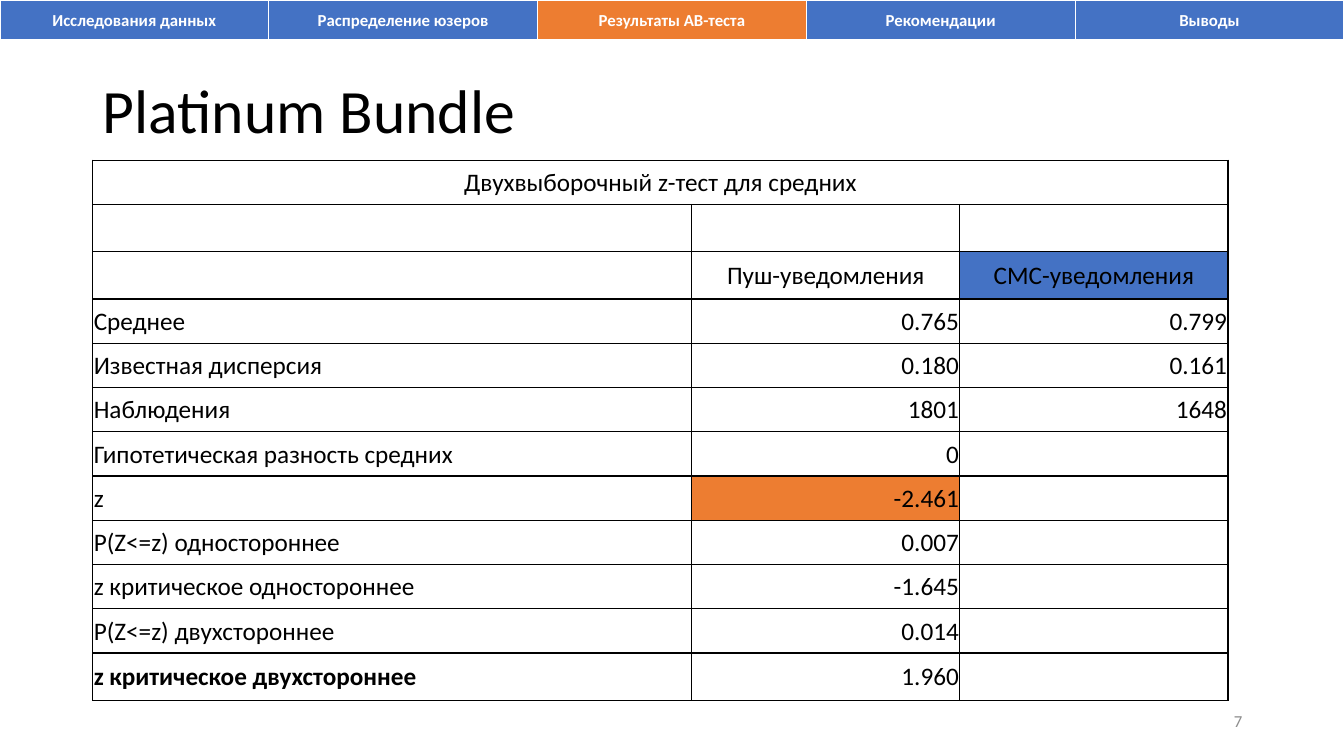
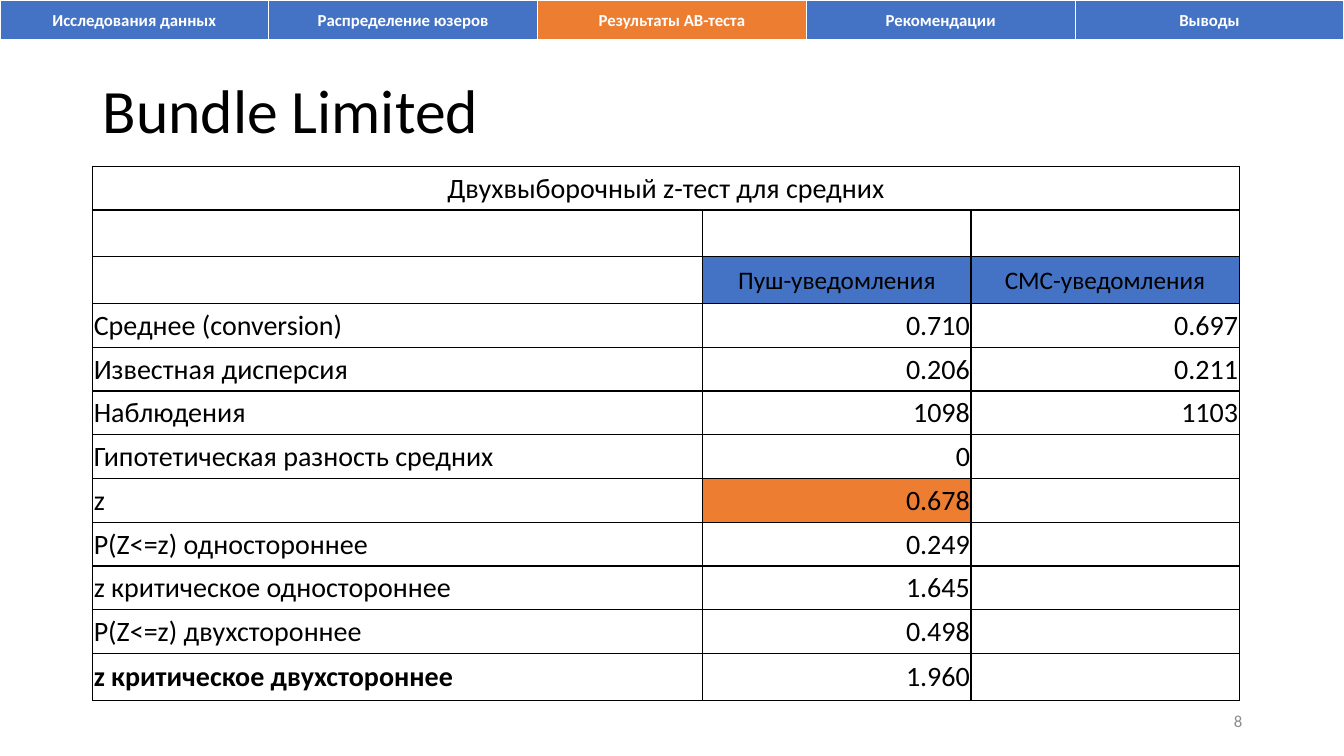
from lxml import etree
from pptx import Presentation
from pptx.dml.color import RGBColor
from pptx.enum.text import MSO_ANCHOR, PP_ALIGN
from pptx.oxml.ns import qn
from pptx.util import Inches, Pt

LEFT, CENTER, RIGHT = PP_ALIGN.LEFT, PP_ALIGN.CENTER, PP_ALIGN.RIGHT
MIDDLE = MSO_ANCHOR.MIDDLE
BLACK = RGBColor(0x00, 0x00, 0x00)
WHITE = RGBColor(0xFF, 0xFF, 0xFF)
GRAY = RGBColor(0x8C, 0x8C, 0x8C)
BLUE = RGBColor(0x44, 0x72, 0xC4)
ORANGE = RGBColor(0xED, 0x7D, 0x31)

WIDTH, HEIGHT = 13.33, 7.5
FONT = "Calibri"
SECTIONS = ["Исследования данных", "Распределение юзеров", "Результаты АВ-теста",
            "Рекомендации", "Выводы"]
ACTIVE = "Результаты АВ-теста"
NAV_BORDERS = {"lnL": 1, "lnR": 1, "lnT": 1, "lnB": 3}
GRID_BORDERS = dict.fromkeys(NAV_BORDERS, 1)
NAV_MARGINS = (0.1, 0.1, 0.05, 0.05)
GRID_MARGINS = (0.01, 0.01, 0.01, 0)

HEADING = "Двухвыборочный z-тест для средних"
GROUPS = ["", "Пуш-уведомления", "СМС-уведомления"]
LABELS = ["Известная дисперсия", "Наблюдения", "Гипотетическая разность средних",
          "z", "P(Z<=z) одностороннее", "z критическое одностороннее",
          "P(Z<=z) двухстороннее", "z критическое двухстороннее"]
GRID_LEFT, GRID_BOTTOM = 0.92, 6.95
VALUE_WIDTH = 2.66
HEADER_ROW, Z_ROW, LAST_ROW = 2, 7, 11
TALL_ROWS, TALL_EXTRA = (1, HEADER_ROW, LAST_ROW), 0.03

TESTS = [
    {"title": "Platinum Bundle", "number": 7, "top": 1.59, "label_width": 5.94,
     "size": 18, "mean": "Среднее", "winners": (2,),
     "push": ["0.765", "0.180", "1801", "0", "-2.461", "0.007", "-1.645", "0.014", "1.960"],
     "sms": ["0.799", "0.161", "1648"]},
    {"title": "Bundle Limited", "number": 8, "top": 1.65, "label_width": 6.05,
     "size": 20, "mean": "Среднее (conversion)", "winners": (1, 2),
     "push": ["0.710", "0.206", "1098", "0", "0.678", "0.249", "1.645", "0.498", "1.960"],
     "sms": ["0.697", "0.211", "1103"]},
]


class Deck:
    """Holds the presentation, its style and the current slide."""

    def __init__(self):
        self.prs = Presentation()
        self.prs.slide_width, self.prs.slide_height = Inches(WIDTH), Inches(HEIGHT)
        self.s = None

    def add_slide(self):
        self.s = self.prs.slides.add_slide(self.prs.slide_layouts[6])

    def add_run(self, p, text, size, color=BLACK, align=LEFT, bold=False):
        p.alignment = align
        r = p.add_run()
        r.text = text
        r.font.color.rgb = color
        for name, value in {"name": FONT, "size": Pt(size), "bold": bold}.items():
            setattr(r.font, name, value)

    def text(self, text, x, y, w, h, size, spacing=1.0, **style):
        sp = self.s.shapes.add_textbox(Inches(x), Inches(y), Inches(w), Inches(h))
        tf = sp.text_frame
        tf.word_wrap, tf.vertical_anchor = True, MIDDLE
        p = tf.paragraphs[0]
        p.line_spacing = spacing
        self.add_run(p, text, size, **style)

    def table(self, x, y, widths, heights):
        frame = self.s.shapes.add_table(len(heights), len(widths), Inches(x), Inches(y),
                                        Inches(sum(widths)), Inches(sum(heights)))
        table = frame.table
        table.first_row = table.horz_banding = False
        for column, width in zip(table.columns, widths):
            column.width = Inches(width)
        for row, height in zip(table.rows, heights):
            row.height = Inches(height)
        return table

    def cell(self, cell, text, fill, margins, borders, line, size, **style):
        sides = ("margin_left", "margin_right", "margin_top", "margin_bottom")
        for side, margin in zip(sides, margins):
            setattr(cell, side, Inches(margin))
        cell.vertical_anchor = MIDDLE
        tcPr = cell._tc.get_or_add_tcPr()
        for tag, width in borders.items():
            ln = etree.SubElement(tcPr, qn(f"a:{tag}"), w=str(Pt(width)))
            solid = etree.SubElement(ln, qn("a:solidFill"))
            etree.SubElement(solid, qn("a:srgbClr"), val=str(line))
        cell.fill.solid()
        cell.fill.fore_color.rgb = fill
        if text:
            self.add_run(cell.text_frame.paragraphs[0], text, size, **style)

    def nav(self):
        count = len(SECTIONS)
        table = self.table(0, 0, [WIDTH / count] * count, [0.41])
        for col, name in enumerate(SECTIONS):
            self.cell(table.cell(0, col), name, ORANGE if name == ACTIVE else BLUE,
                      NAV_MARGINS, NAV_BORDERS, WHITE, 12,
                      color=WHITE, align=CENTER, bold=True)

    def test_grid(self, test):
        labels = [test["mean"]] + LABELS
        sms = test["sms"] + [""] * (len(labels) - len(test["sms"]))
        rows = [[HEADING, "", ""], ["", "", ""], GROUPS, *zip(labels, test["push"], sms)]
        space = GRID_BOTTOM - test["top"] - TALL_EXTRA * len(TALL_ROWS)
        height = space / len(rows)
        heights = [height + TALL_EXTRA * (i in TALL_ROWS) for i in range(len(rows))]
        table = self.table(GRID_LEFT, test["top"],
                           [test["label_width"], VALUE_WIDTH, VALUE_WIDTH], heights)
        fills = {(HEADER_ROW, col): BLUE for col in test["winners"]}
        fills[Z_ROW, 1] = ORANGE
        for i, row in enumerate(rows):
            for j, text in enumerate(row):
                align = CENTER if i <= HEADER_ROW else RIGHT if j else LEFT
                self.cell(table.cell(i, j), text, fills.get((i, j), WHITE),
                          GRID_MARGINS, GRID_BORDERS, BLACK,
                          18 if i == HEADER_ROW else test["size"],
                          align=align, bold=i == LAST_ROW and j == 0)
        table.cell(0, 0).merge(table.cell(0, 2))

    def test_slide(self, test):
        self.add_slide()
        self.text(test["title"], 0.92, 0.4, 11.5, 1.45, 44, spacing=0.9)
        self.text(str(test["number"]), 9.42, 6.95, 3, 0.4, 12, color=GRAY, align=RIGHT)
        self.test_grid(test)
        self.nav()


def main():
    deck = Deck()
    for test in TESTS:
        deck.test_slide(test)
    deck.prs.save("out.pptx")


if __name__ == "__main__":
    main()
